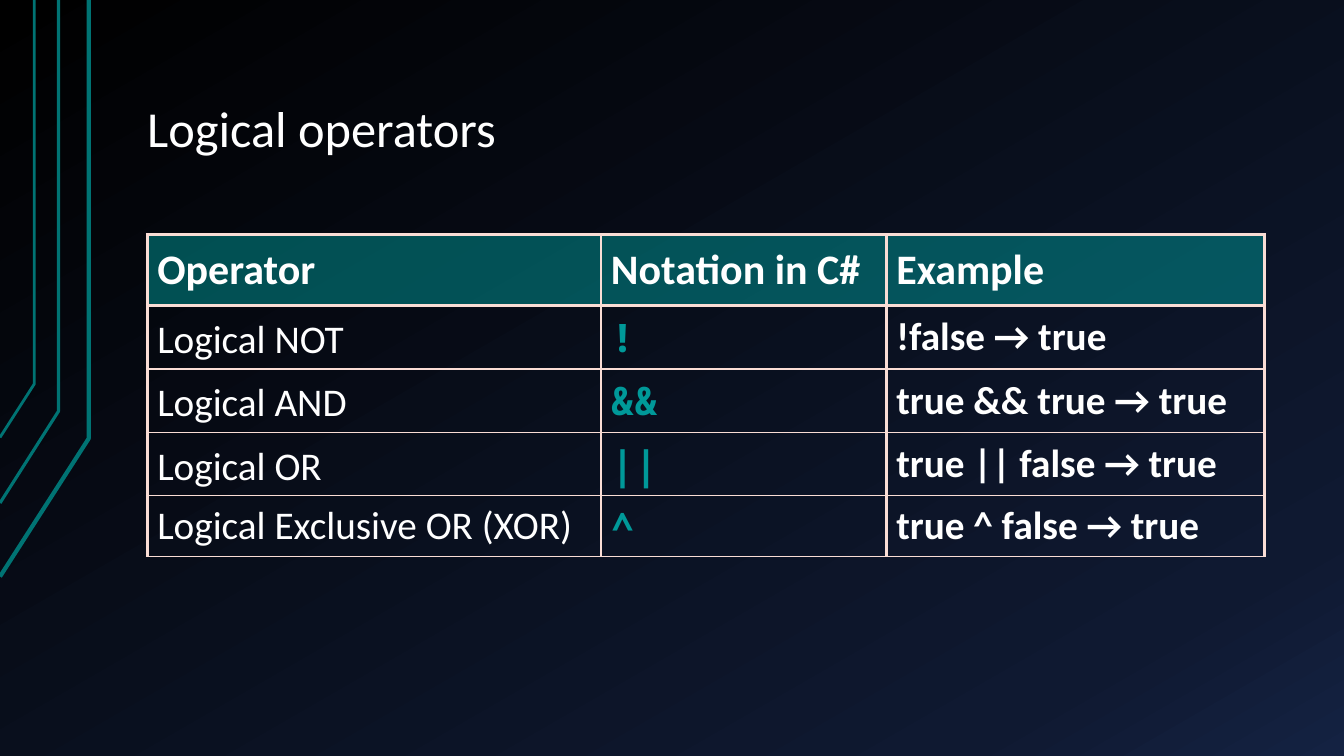
from lxml import etree
from pptx import Presentation
from pptx.dml.color import RGBColor
from pptx.enum.text import MSO_ANCHOR
from pptx.oxml.ns import qn
from pptx.util import Inches, Pt

MIDDLE, BOTTOM = MSO_ANCHOR.MIDDLE, MSO_ANCHOR.BOTTOM

TITLE = "Logical operators"
ROWS = [
    ("Operator", "Notation in C#", "Example"),
    ("Logical NOT", "!", "!false → true"),
    ("Logical AND", "&&", "true && true → true"),
    ("Logical OR", "||", "true || false → true"),
    ("Logical Exclusive OR (XOR)", "^", "true ^ false → true"),
]
COLS = [4.5, 2.83, 3.75]
HIGHS = [0.7, 0.63, 0.63, 0.63, 0.6]
THICK, THIN = 2.25, 1
DOWN = [THICK, THIN, THICK, THICK]
ACROSS = [THICK, THICK, THIN, THIN, THIN, THIN]
RAILS = [(0.88, 4.35, 5.72, 3), (0.58, 4.08, 4.99, 2.25), (0.34, 3.81, 4.34, 2)]
HUES = {"text": "FFFFFF", "teal": "009999", "rail": "007373", "edge": "FADDD5"}
FADE = [(0, "000000"), (85, "0F1931"), (100, "142242")]
SANS, MONO = "Calibri", "Noto Sans Mono"


def rgb(name):
    return RGBColor.from_string(HUES[name])


def add(parent, tag, **attrs):
    return etree.SubElement(parent, qn(tag), attrs)


def paint(slide):
    fill = slide.background.fill
    fill.gradient()
    grad = slide.element.find(".//" + qn("a:gradFill"))
    stops = grad.find(qn("a:gsLst"))
    for stop in list(stops):
        stops.remove(stop)
    for share, hue in FADE:
        stop = add(stops, "a:gs", pos=str(share * 1000))
        add(stop, "a:srgbClr", val=hue)
    grad.find(qn("a:lin")).set("ang", str(60 * 60000))


def rail(slide, x, bend, end, width):
    pen = slide.shapes.build_freeform(0, Inches(end))
    pen.add_line_segments([(Inches(x), Inches(bend)), (Inches(x), 0)], close=False)
    shape = pen.convert_to_shape()
    shape.shadow.inherit = False
    shape.fill.background()
    shape.line.color.rgb = rgb("rail")
    shape.line.width = Pt(width)


def style(par, size, face, hue, bold, lead):
    font = par.font
    font.size, font.name, font.bold = Pt(size), face, bold
    font.color.rgb = rgb(hue)
    par.line_spacing = lead


def lift(par, share):
    par.space_before = Pt(0)
    gap = par._p.pPr.find(qn("a:spcBef"))
    gap.remove(gap[0])
    add(gap, "a:spcPct", val=str(share * 1000))


def edge(cell, sides):
    props = cell._tc.get_or_add_tcPr()
    for spot, (side, width) in enumerate(sides):
        line = etree.Element(qn("a:ln" + side), w=str(Pt(width)))
        add(add(line, "a:solidFill"), "a:srgbClr", val=HUES["edge"])
        props.insert(spot, line)


def fill_cell(cell, text, row, col):
    head = row == 0
    if head:
        cell.fill.solid()
        cell.fill.fore_color.rgb = rgb("teal")
        tint = cell._tc.tcPr.find(".//" + qn("a:srgbClr"))
        add(tint, "a:alpha", val="50000")
    else:
        cell.fill.background()
    edge(cell, [("L", DOWN[col]), ("R", DOWN[col + 1]),
                ("T", ACROSS[row]), ("B", ACROSS[row + 1])])
    cell.vertical_anchor = MIDDLE
    cell.text = text
    par = cell.text_frame.paragraphs[0]
    sign = col == 1 and not head
    fixed = col == 0 and 0 < row < len(ROWS) - 1
    style(par, 30 if head else 28, MONO if sign else SANS,
          "teal" if sign else "text", head or col > 0,
          Pt(38) if fixed else 0.95)
    if fixed:
        par.space_before = par.space_after = Pt(6)
    else:
        lift(par, 40)


def main():
    deck = Presentation()
    deck.slide_width, deck.slide_height = Inches(13.33), Inches(7.5)
    slide = deck.slides.add_slide(deck.slide_layouts[6])
    paint(slide)
    for item in RAILS:
        rail(slide, *item)

    box = slide.shapes.add_textbox(Inches(1.33), Inches(0.3), Inches(11.33), Inches(1.34))
    frame = box.text_frame
    frame.word_wrap = True
    frame.vertical_anchor = BOTTOM
    frame.margin_left = frame.margin_right = Inches(0.13)
    frame.margin_top = frame.margin_bottom = Inches(0.07)
    frame.text = TITLE
    style(frame.paragraphs[0], 36, SANS, "text", False, 0.9)

    table = slide.shapes.add_table(
        len(ROWS), len(COLS), Inches(1.46), Inches(2.33),
        Inches(sum(COLS)), Inches(sum(HIGHS))).table
    table.first_row = table.horz_banding = False
    for col, width in enumerate(COLS):
        table.columns[col].width = Inches(width)
    for row, texts in enumerate(ROWS):
        table.rows[row].height = Inches(HIGHS[row])
        for col, text in enumerate(texts):
            fill_cell(table.cell(row, col), text, row, col)
    deck.save("out.pptx")


if __name__ == "__main__":
    main()
